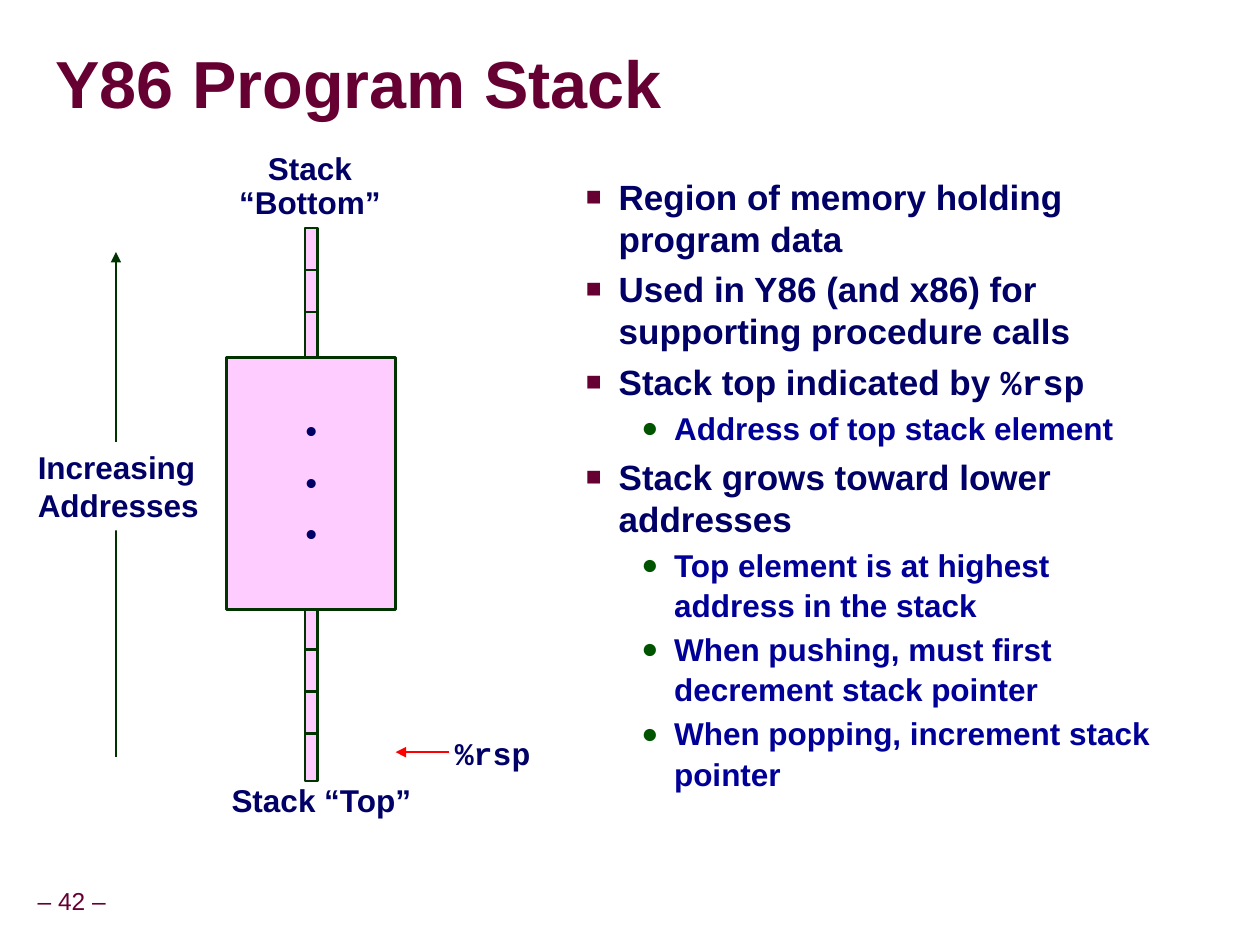
"""Build the Y86 program stack slide on a grid of 100 columns by 75 rows."""
from typing import NamedTuple

from lxml import etree
from pptx import Presentation
from pptx import util as u
from pptx.dml.color import RGBColor
from pptx.enum import shapes, text
from pptx.oxml.ns import qn

MAROON = RGBColor(0x66, 0x00, 0x33)
NAVY = RGBColor(0x00, 0x00, 0x66)
BLUE = RGBColor(0x00, 0x00, 0x99)
LEAF = RGBColor(0x00, 0x54, 0x00)
GREEN = RGBColor(0x00, 0x33, 0x00)
PINK = RGBColor(0xFF, 0xCC, 0xFF)
RED = RGBColor(0xFF, 0x00, 0x02)
WHITE = RGBColor(0xFF, 0xFF, 0xFF)
BLACK = RGBColor(0x00, 0x00, 0x00)
SANS, MONO = "Arial", "Courier New"
LEFT, CENTER = text.PP_ALIGN.LEFT, text.PP_ALIGN.CENTER
TOP, MIDDLE = text.MSO_ANCHOR.TOP, text.MSO_ANCHOR.MIDDLE
COLUMNS, ROWS = 100, 75


class Area(NamedTuple):
    """A rectangle in grid columns and rows."""
    col: float
    row: float
    cols: float
    rows: float


class Font(NamedTuple):
    """The look of a run."""
    size: int
    color: RGBColor
    name: str = SANS
    bold: bool = True


class Level(NamedTuple):
    """The look of one list level."""
    font: Font
    bullet: str
    bullet_color: RGBColor
    bullet_size: int
    margin: float
    spacing: float
    before: float


class Label(NamedTuple):
    """A text box."""
    area: Area
    words: str
    font: Font
    align: text.PP_ALIGN = CENTER
    wrap: bool = True
    anchor: text.MSO_ANCHOR = TOP


class Arrow(NamedTuple):
    """A straight arrow from one grid point to another."""
    start: tuple[float, float]
    end: tuple[float, float]
    color: RGBColor


BODY = Font(18, NAVY)
CODE = Font(18, NAVY, MONO)
LEVELS = {
    1: Level(Font(20, NAVY), "■", MAROON, 75, 0.8, 1.0, 5),
    2: Level(Font(18, BLUE), "●", LEAF, 90, 1.24, 1.07, 2),
}
POINTS = [
    (1, ["Region of memory holding program data"]),
    (1, ["Used in Y86 (and x86) for supporting procedure calls"]),
    (1, ["Stack top indicated by ", "%rsp"]),
    (2, ["Address of top stack element"]),
    (1, ["Stack grows toward lower addresses"]),
    (2, ["Top element is at highest address in the stack"]),
    (2, ["When pushing, must first decrement stack pointer"]),
    (2, ["When popping, increment stack pointer"]),
]
CELL_PITCH = 10 / 3
CELL_GROUPS = [(18.1, 3), (48.2, 4)]
ARROWS = [
    Arrow((35.6, 59.7), (31.4, 59.7), RED),
    Arrow((9.2, 60.1), (9.2, 20), GREEN),
]
LABELS = [
    Label(Area(2.3, 70, 6.8, 3.2), "– 42 –", Font(14, MAROON, bold=False), wrap=False, anchor=MIDDLE),
    Label(Area(35.6, 58.1, 7.1, 3.8), "%rsp", CODE, LEFT, False),
    Label(Area(15.9, 61.8, 19.2, 3.8), "Stack “Top”", BODY),
    Label(Area(15, 11.7, 19.2, 6.5), "Stack “Bottom”", BODY),
]


def place(prs, area: Area) -> tuple[int, int, int, int]:
    """Turn a grid area into left, top, width and height."""
    w, h = prs.slide_width / COLUMNS, prs.slide_height / ROWS
    return int(area.col * w), int(area.row * h), int(area.cols * w), int(area.rows * h)


def move(prs, sp, area: Area) -> None:
    """Move a placeholder to a grid area."""
    sp.left, sp.top, sp.width, sp.height = place(prs, area)


def set_frame(tf, inset: float, anchor=TOP, wrap: bool = True) -> None:
    """Set the insets, anchor and wrapping of a text frame."""
    tf.margin_left = tf.margin_right = tf.margin_top = tf.margin_bottom = u.Inches(inset)
    tf.vertical_anchor, tf.word_wrap = anchor, wrap
    tf.auto_size = text.MSO_AUTO_SIZE.NONE


def add_run(p, words: str, font: Font):
    """Add a formatted run."""
    r = p.add_run()
    r.text = words
    r.font.size, r.font.bold, r.font.name = u.Pt(font.size), font.bold, font.name
    r.font.color.rgb = font.color
    return r


def add_lines(tf, lines: list[str], font: Font, align, spacing: float, before: float = 0) -> None:
    """Write one paragraph for each line."""
    for i, words in enumerate(lines):
        p = tf.add_paragraph() if i else tf.paragraphs[0]
        p.alignment, p.line_spacing, p.space_before = align, spacing, u.Pt(before)
        add_run(p, words, font)


def add_title(prs, s) -> None:
    """Fill the title and give its text a soft shadow."""
    sp = s.shapes.title
    move(prs, sp, Area(4.4, 2.7, 95.3, 8.5))
    set_frame(sp.text_frame, 0, MIDDLE)
    p = sp.text_frame.paragraphs[0]
    p.alignment, p.line_spacing = LEFT, 0.87
    r = add_run(p, "Y86 Program Stack", Font(38, MAROON))
    effects = etree.Element(qn("a:effectLst"))
    shadow = etree.SubElement(effects, qn("a:outerShdw"), blurRad="50800", dist="50800", dir="2700000")
    color = etree.SubElement(shadow, qn("a:srgbClr"), val=str(BLACK))
    etree.SubElement(color, qn("a:alpha"), val="30000")
    r.font._element.find(qn("a:latin")).addprevious(effects)


def add_points(prs, sp) -> None:
    """Fill the body placeholder with the bulleted list."""
    move(prs, sp, Area(40.1, 13.4, 54, 57.1))
    tf = sp.text_frame
    set_frame(tf, 0.05)
    tf.margin_left = tf.margin_right = u.Inches(0.1)
    for i, (depth, parts) in enumerate(POINTS):
        level = LEVELS[depth]
        p = tf.add_paragraph() if i else tf.paragraphs[0]
        p.level, p.line_spacing, p.space_before = depth, level.spacing, u.Pt(level.before)
        pPr = p._p.get_or_add_pPr()
        pPr.set("marL", str(u.Inches(level.margin)))
        pPr.set("indent", str(u.Inches(-0.26)))
        color = etree.SubElement(pPr, qn("a:buClr"))
        etree.SubElement(color, qn("a:srgbClr"), val=str(level.bullet_color))
        etree.SubElement(pPr, qn("a:buSzPct"), val=str(level.bullet_size * 1000))
        etree.SubElement(pPr, qn("a:buFont"), typeface=SANS)
        etree.SubElement(pPr, qn("a:buChar"), char=level.bullet)
        for words in parts:
            add_run(p, words, level.font._replace(name=MONO if words == "%rsp" else SANS))


def add_box(prs, s, area: Area, fill: RGBColor = PINK, outlined: bool = True):
    """Draw a filled rectangle."""
    sp = s.shapes.add_shape(shapes.MSO_SHAPE.RECTANGLE, *place(prs, area))
    sp.shadow.inherit = False
    sp.fill.solid()
    sp.fill.fore_color.rgb = fill
    if outlined:
        sp.line.color.rgb, sp.line.width = GREEN, u.Pt(1.5)
    else:
        sp.line.fill.background()
    return sp


def add_arrow(prs, s, arrow: Arrow) -> None:
    """Draw an arrow with a triangular head at its end."""
    x1, y1, x2, y2 = place(prs, Area(*arrow.start, *arrow.end))
    cxn = s.shapes.add_connector(shapes.MSO_CONNECTOR.STRAIGHT, x1, y1, x2, y2)
    cxn.line.color.rgb, cxn.line.width = arrow.color, u.Pt(1.5)
    etree.SubElement(cxn.line._get_or_add_ln(), qn("a:tailEnd"), type="triangle")
    etree.SubElement(cxn._element.spPr, qn("a:effectLst"))


def add_label(prs, s, label: Label) -> None:
    """Write a text box."""
    tf = s.shapes.add_textbox(*place(prs, label.area)).text_frame
    set_frame(tf, 0.05, label.anchor, label.wrap)
    add_lines(tf, [label.words], label.font, label.align, 0.9)


def main() -> None:
    """Build and save the slide."""
    prs = Presentation()
    prs.slide_width, prs.slide_height = u.Inches(10), u.Inches(7.5)
    s = prs.slides.add_slide(prs.slide_layouts[1])
    add_title(prs, s)
    add_points(prs, s.placeholders[1])
    for first_row, count in CELL_GROUPS:
        for i in range(count):
            add_box(prs, s, Area(24.2, first_row + i * CELL_PITCH, 1, 3.8))
    tf = add_box(prs, s, Area(18, 28.4, 13.4, 20)).text_frame
    set_frame(tf, 0.05, MIDDLE)
    add_lines(tf, ["•"] * 3, CODE, CENTER, 0.9, 10)
    for arrow in ARROWS:
        add_arrow(prs, s, arrow)
    tf = add_box(prs, s, Area(2.5, 35.1, 15, 7), WHITE, outlined=False).text_frame
    set_frame(tf, 0.05)
    add_lines(tf, ["Increasing", "Addresses"], BODY, LEFT, 1.0)
    for label in LABELS:
        add_label(prs, s, label)
    prs.save("out.pptx")


if __name__ == "__main__":
    main()
